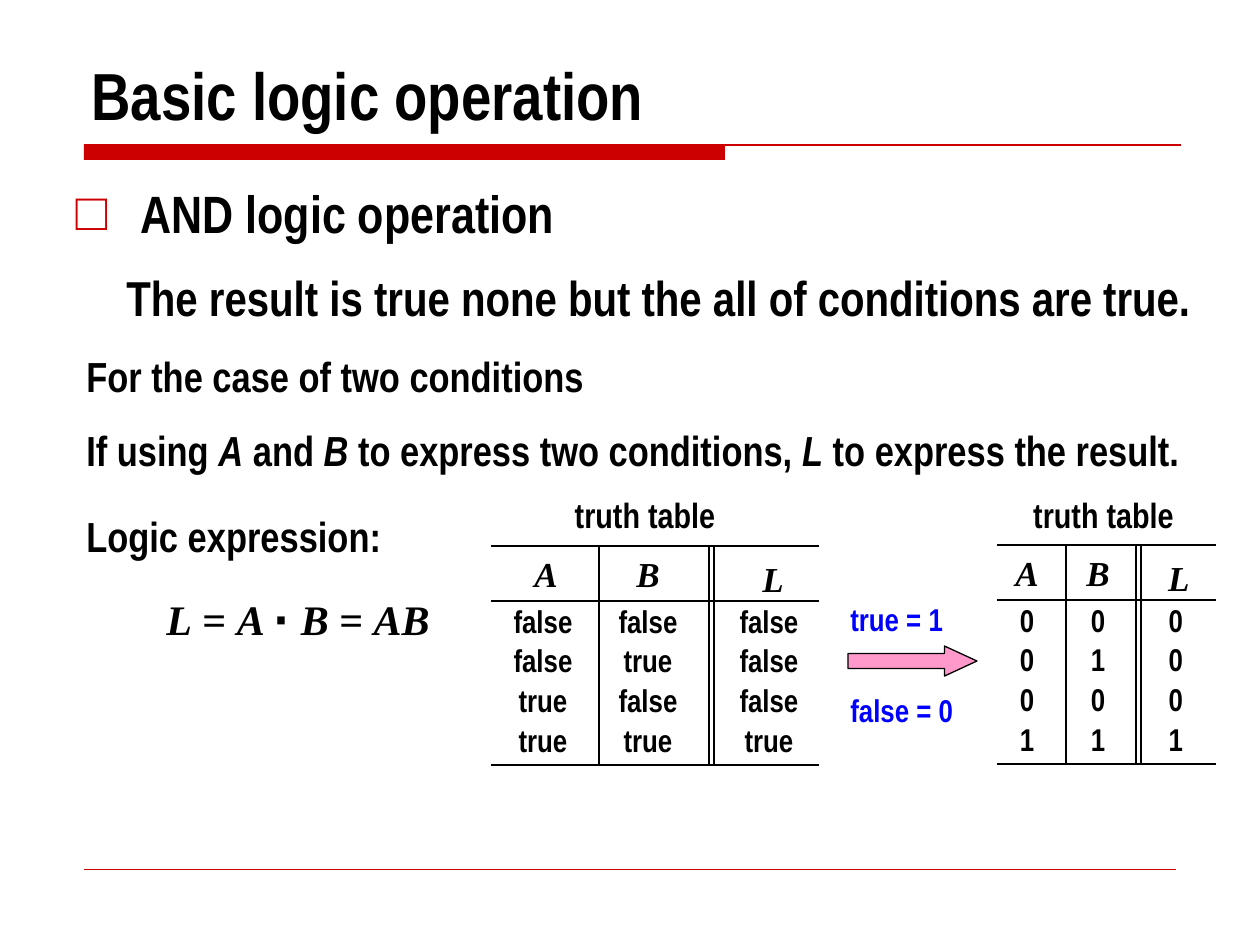
from lxml import etree
from pptx import Presentation
from pptx.dml.color import RGBColor
from pptx.enum.shapes import MSO_CONNECTOR, MSO_SHAPE
from pptx.enum.text import MSO_ANCHOR, MSO_AUTO_SIZE, PP_ALIGN
from pptx.oxml import parse_xml
from pptx.oxml.ns import nsdecls, qn
from pptx.util import Emu, Pt

EMU_PER_PX = 914400 / 126
NARROW, SERIF, SYMBOL = "Arial Narrow", "Times New Roman", "Arial"
PLAIN_TABLE_STYLE = "{2D5ABB26-0587-4C30-8999-92F81FD0307C}"
COLORS = {"text": "000000", "accent": "CC0000", "note": "0000FF", "arrow": "FF99CC"}

TITLE = ("Basic logic operation", (79, 35, 1103, 105))
TOPIC = ("AND logic operation", (63, 175, 1103, 76))
STATEMENTS = [
    ((114, 250, 1091, 83), 28,
     [("The result is true none but the all of conditions are true.", False)]),
    ((74, 334, 1131, 73), 24, [("For the case of two conditions", False)]),
    ((74, 408, 1131, 73), 24,
     [("If using ", False), ("A", True), (" and ", False), ("B ", True),
      ("to express two conditions, ", False), ("L", True),
      (" to express the result.", False)]),
    ((74, 494, 377, 73), 24, [("Logic expression:", False)]),
]
EXPRESSION = [("L", True), (" = ", False), ("A ", True), ("⋅ ", False),
              ("B ", True), ("= ", False), ("AB", True)]
EXPRESSION_BOX = (154, 587, 318, 61)
CODING = ["true = 1", "false = 0"]
CODING_BOX = (838, 586, 139, 149)
ARROW_BOX = (848, 646, 129, 30)

HEADERS = ["A", "B", "L"]
ROW_HEIGHTS = [59, 41, 37, 41, 39]
TABLES = [
    {"caption": (541, 498, 208, 38), "top": 546, "edges": [491, 599, 709, 819],
     "header_nudges": [2, -12, 18], "nudges": [-4, -12, 10],
     "rows": [["false", "false", "false"], ["false", "true", "false"],
              ["true", "false", "false"], ["true", "true", "true"]]},
    {"caption": (1007, 498, 193, 38), "top": 545, "edges": [997, 1066, 1136, 1216],
     "header_nudges": [-9, -6, 6], "nudges": [-9, -6, 0],
     "rows": ["000", "010", "000", "111"]},
]
RULE_OFFSETS = [0, 55, 219]
DOUBLE_RULE_GAP = 5
RESULT_HEADER_DROP = 10

RULES = [((84, 145), (1181, 145), 0.75), ((84, 869), (1176, 869), 0.25)]
TITLE_BAR = (84, 145, 641, 15)


def px(value):
    return Emu(round(value * EMU_PER_PX))


def color(name):
    return RGBColor.from_string(COLORS[name])


def place(shape, box):
    shape.left, shape.top, shape.width, shape.height = map(px, box)


def style(font, size, name=NARROW, fill="text", italic=False):
    font.size, font.name = Pt(size), name
    font.bold, font.italic = True, italic
    font.color.rgb = color(fill)


def add_text_box(slide, box, margins=True):
    frame = slide.shapes.add_textbox(*map(px, box)).text_frame
    frame.word_wrap = True
    if not margins:
        frame.margin_left = frame.margin_right = 0
        frame.margin_top = frame.margin_bottom = 0
    return frame


def add_runs(paragraph, runs, size, name=NARROW):
    for text, italic in runs:
        run = paragraph.add_run()
        run.text = text
        style(run.font, size, SYMBOL if "⋅" in text else name, italic=italic)


def add_line(slide, start, end, width, fill="text"):
    line = slide.shapes.add_connector(
        MSO_CONNECTOR.STRAIGHT, *map(px, start), *map(px, end))
    line.line.color.rgb = color(fill)
    line.line.width = Pt(width)
    etree.SubElement(line._element.spPr, qn("a:effectLst"))


def add_shape(slide, kind, box, fill):
    shape = slide.shapes.add_shape(kind, *map(px, box))
    shape.shadow.inherit = False
    shape.fill.solid()
    shape.fill.fore_color.rgb = color(fill)
    return shape


def fill_placeholder(shape, text, box, anchor):
    place(shape, box)
    frame = shape.text_frame
    frame.text = text
    frame.auto_size = MSO_AUTO_SIZE.NONE
    frame.vertical_anchor = anchor
    paragraph = frame.paragraphs[0]
    paragraph.alignment = PP_ALIGN.LEFT
    paragraph.space_before = Pt(0)
    return paragraph


def fill_cell(cell, text, nudge, is_header):
    cell.margin_left, cell.margin_right = px(max(nudge, 0)), px(max(-nudge, 0))
    dropped = is_header and text == HEADERS[-1]
    cell.margin_top = px(RESULT_HEADER_DROP if dropped else 0)
    cell.margin_bottom = 0
    cell.vertical_anchor = MSO_ANCHOR.MIDDLE
    cell.fill.background()
    paragraph = cell.text_frame.paragraphs[0]
    paragraph.text = text
    paragraph.alignment = PP_ALIGN.CENTER
    if is_header:
        style(paragraph.font, 20, SERIF, italic=True)
    else:
        style(paragraph.font, 18)


def add_truth_table(slide, table_data):
    caption = add_text_box(slide, table_data["caption"], margins=False).paragraphs[0]
    caption.text = "truth table"
    caption.alignment = PP_ALIGN.CENTER
    caption.line_spacing = 0.9
    style(caption.font, 20)

    edges, top = table_data["edges"], table_data["top"]
    left, right = edges[0], edges[-1]
    rows = [HEADERS] + table_data["rows"]
    table = slide.shapes.add_table(
        len(rows), len(HEADERS), px(left), px(top),
        px(right - left), px(sum(ROW_HEIGHTS))).table
    table.first_row = table.horz_banding = False
    table._tbl.tblPr.find(qn("a:tableStyleId")).text = PLAIN_TABLE_STYLE
    for column, start, end in zip(table.columns, edges, edges[1:]):
        column.width = px(end - start)
    for r, values in enumerate(rows):
        table.rows[r].height = px(ROW_HEIGHTS[r])
        nudges = table_data["nudges" if r else "header_nudges"]
        for c, value in enumerate(values):
            fill_cell(table.cell(r, c), value, nudges[c], r == 0)

    for offset in RULE_OFFSETS:
        add_line(slide, (left, top + offset), (right, top + offset), 1.5)
    for x in (edges[1], edges[2], edges[2] + DOUBLE_RULE_GAP):
        add_line(slide, (x, top), (x, top + RULE_OFFSETS[-1]), 1.5)


def main():
    presentation = Presentation()
    presentation.slide_width, presentation.slide_height = px(1260), px(945)
    slide = presentation.slides.add_slide(presentation.slide_layouts[1])

    for start, end, width in RULES:
        add_line(slide, start, end, width, "accent")
    add_shape(slide, MSO_SHAPE.RECTANGLE, TITLE_BAR, "accent").line.fill.background()

    title = fill_placeholder(slide.shapes.title, *TITLE, MSO_ANCHOR.BOTTOM)
    style(title.font, 38)
    topic = fill_placeholder(slide.placeholders[1], *TOPIC, MSO_ANCHOR.TOP)
    properties = topic._p.get_or_add_pPr()
    properties.set("marL", str(px(65)))
    properties.set("indent", str(-px(65)))
    for bullet in (f'<a:buClr {nsdecls("a")}><a:srgbClr val="{COLORS["accent"]}"/></a:buClr>',
                   f'<a:buFont {nsdecls("a")} typeface="{SYMBOL}"/>',
                   f'<a:buChar {nsdecls("a")} char="□"/>'):
        properties.append(parse_xml(bullet))
    style(topic.font, 30)

    for box, size, runs in STATEMENTS:
        paragraph = add_text_box(slide, box).paragraphs[0]
        paragraph.line_spacing = 1.2
        add_runs(paragraph, runs, size)
    add_runs(add_text_box(slide, EXPRESSION_BOX).paragraphs[0], EXPRESSION, 24, SERIF)

    coding = add_text_box(slide, CODING_BOX)
    coding.text = "\n".join(CODING)
    for paragraph in coding.paragraphs:
        paragraph.line_spacing = 1.2
        style(paragraph.font, 18, fill="note")
    coding.paragraphs[1].space_before = Pt(26.5)
    arrow = add_shape(slide, MSO_SHAPE.RIGHT_ARROW, ARROW_BOX, "arrow")
    arrow.adjustments[0], arrow.adjustments[1] = 0.5, 1.08
    arrow.line.color.rgb = color("text")
    arrow.line.width = Pt(0.75)

    for table_data in TABLES:
        add_truth_table(slide, table_data)
    presentation.save("out.pptx")


if __name__ == "__main__":
    main()
